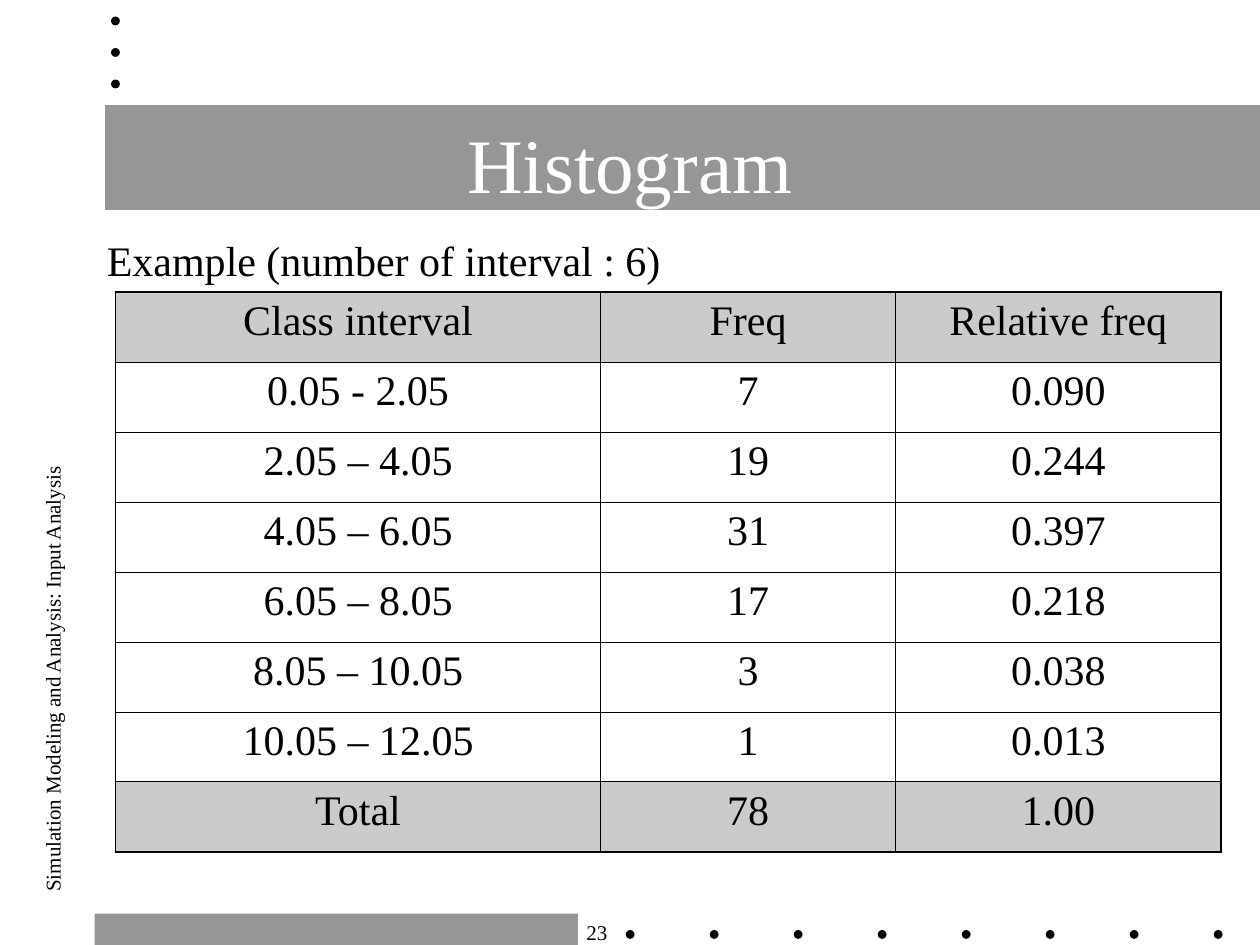
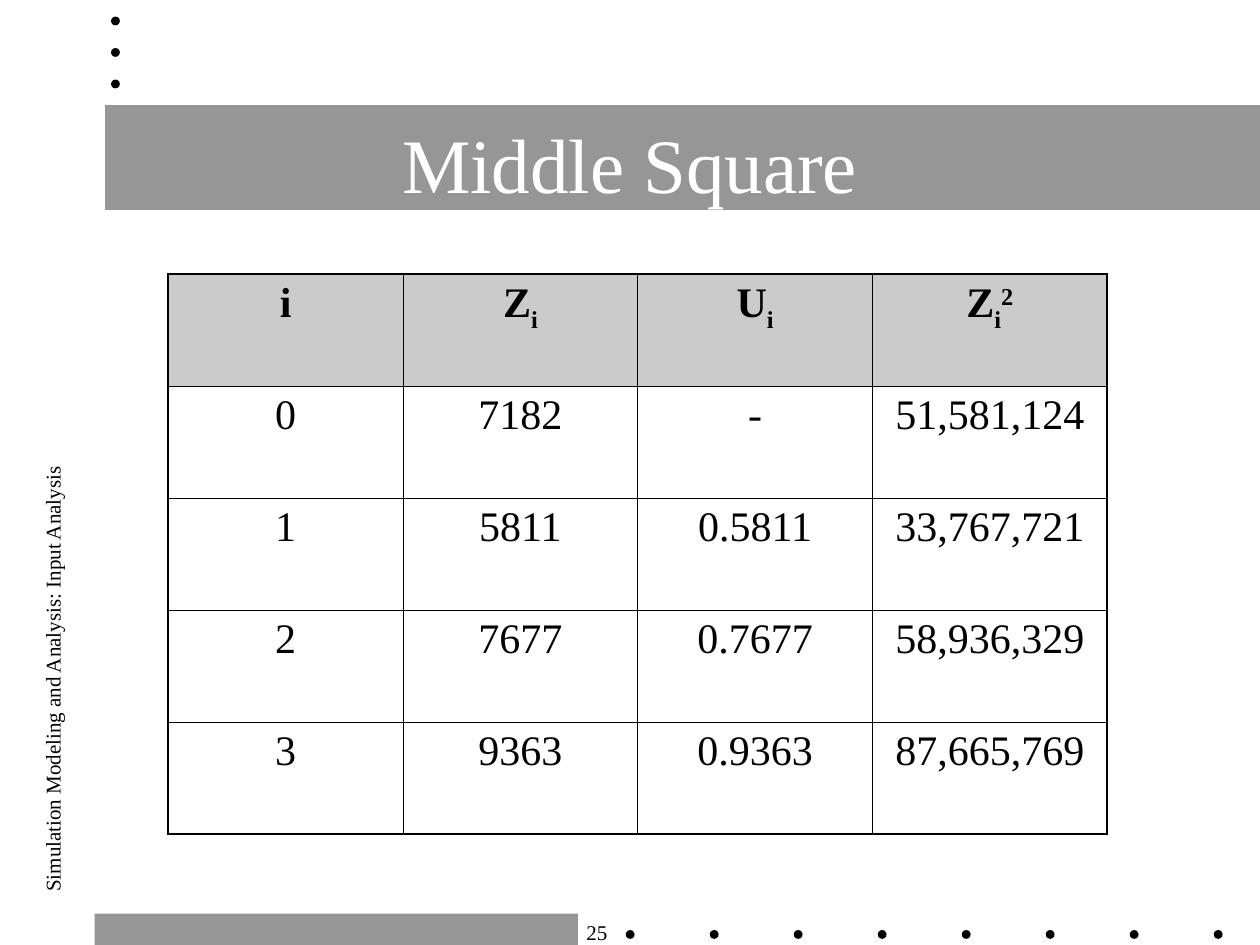
"""Build two lecture slides with data tables on a shared grey-band layout."""
import pptx
import pptx.dml.color
import pptx.enum.shapes
import pptx.enum.text
import pptx.oxml
import pptx.oxml.ns
import pptx.util

ALIGN = pptx.enum.text.PP_ALIGN
ANCHOR = pptx.enum.text.MSO_ANCHOR
SHAPE = pptx.enum.shapes.MSO_SHAPE
FONT = "Times New Roman"
BLACK, WHITE, BAND, SHADE = "000000", "FFFFFF", "969696", "CBCBCB"
UNITS_PER_INCH = 12
TABLE_ROWS = 53.34
OUTER_LINE, INNER_LINE = 1.08, 0.45
SUB, SUPER = -25000, 30000

INTERVALS = [
    ["Class interval", "Freq", "Relative freq"],
    ["0.05 - 2.05", "7", "0.090"],
    ["2.05 – 4.05", "19", "0.244"],
    ["4.05 – 6.05", "31", "0.397"],
    ["6.05 – 8.05", "17", "0.218"],
    ["8.05 – 10.05", "3", "0.038"],
    ["10.05 – 12.05", "1", "0.013"],
    ["Total", "78", "1.00"],
]
SQUARES = [
    ["i", [("Z", 0), ("i", SUB)], [("U", 0), ("i", SUB)],
     [("Z", 0), ("i", SUB), ("2", SUPER)]],
    ["0", "7182", "-", "51,581,124"],
    ["1", "5811", "0.5811", "33,767,721"],
    ["2", "7677", "0.7677", "58,936,329"],
    ["3", "9363", "0.9363", "87,665,769"],
]


def grid(units):
    """Convert grid units (120 columns by 90 rows) to a length."""
    return pptx.util.Inches(units / UNITS_PER_INCH)


def rgb(value):
    """Turn a hex string into a colour."""
    return pptx.dml.color.RGBColor.from_string(value)


class Deck:
    """Hold the presentation, its style and the current slide."""

    def __init__(self):
        """Start an empty presentation of 120 by 90 grid units."""
        self.show = pptx.Presentation()
        self.show.slide_width, self.show.slide_height = grid(120), grid(90)
        self.slide = None

    def start(self, title, number):
        """Add a slide with its bands, dots, page number, side text and title."""
        self.slide = self.show.slides.add_slide(self.show.slide_layouts[6])
        self.block(SHAPE.RECTANGLE, 9, 87, 46.03, 3, BAND)
        for step in range(8):
            self.dot(60.02 + 8 * step, 89)
        self.block(SHAPE.RECTANGLE, 10, 10, 110, 10, BAND)
        for step in range(3):
            self.dot(11, 2 + 3 * step)
        self.text(number, 50.03, 87, 9, 3.6, 12, align=ALIGN.RIGHT)
        course = self.text("Simulation Modeling and Analysis: Input Analysis",
                           -16.5, 62.95, 43, 3.6, 12, align=ALIGN.RIGHT, wrap=False)
        course.rotation = 270
        self.text(title, 9, 8, 102, 15, 44, WHITE, ALIGN.CENTER, ANCHOR.MIDDLE)

    def block(self, kind, left, top, width, height, fill):
        """Draw a plain filled shape."""
        block = self.slide.shapes.add_shape(kind, *map(grid, (left, top, width, height)))
        block.shadow.inherit = False
        block.fill.solid()
        block.fill.fore_color.rgb = rgb(fill)
        block.line.fill.background()

    def dot(self, x, y, size=0.84):
        """Draw a black dot centred on a grid point."""
        self.block(SHAPE.OVAL, x - size / 2, y - size / 2, size, size, BLACK)

    def style(self, paragraph, size, color=BLACK, align=ALIGN.LEFT, bold=False):
        """Format a paragraph and its runs."""
        paragraph.alignment = align
        for run in paragraph.runs:
            font = run.font
            font.name, font.size, font.bold = FONT, pptx.util.Pt(size), bold
            font.color.rgb = rgb(color)

    def text(self, words, left, top, width, height, size, color=BLACK,
             align=ALIGN.LEFT, anchor=ANCHOR.TOP, wrap=True):
        """Add a one-paragraph text box."""
        box = self.slide.shapes.add_textbox(*map(grid, (left, top, width, height)))
        frame = box.text_frame
        frame.word_wrap, frame.vertical_anchor = wrap, anchor
        frame.text = words
        self.style(frame.paragraphs[0], size, color, align)
        return box

    def border(self, cell, side, width):
        """Draw one side of a cell."""
        cell._tc.get_or_add_tcPr().append(pptx.oxml.parse_xml(
            f'<a:ln{side} {pptx.oxml.ns.nsdecls("a")} w="{pptx.util.Pt(width)}">'
            f'<a:solidFill><a:srgbClr val="{BLACK}"/></a:solidFill></a:ln{side}>'))

    def fill_cell(self, cell, content, shaded, bold):
        """Write and colour one cell; content is a string or (text, baseline) pairs."""
        paragraph = cell.text_frame.paragraphs[0]
        if isinstance(content, str):
            paragraph.text = content
        else:
            for letters, baseline in content:
                run = paragraph.add_run()
                run.text = letters
                run._r.get_or_add_rPr().set("baseline", str(baseline))
        self.style(paragraph, 24, align=ALIGN.CENTER, bold=bold)
        if shaded:
            cell.fill.solid()
            cell.fill.fore_color.rgb = rgb(SHADE)
        else:
            cell.fill.background()

    def table(self, data, left, top, widths, shaded_rows, bold_header=False):
        """Add a table with a heavier outline and shaded rows."""
        last_row, last_column = len(data) - 1, len(widths) - 1
        table = self.slide.shapes.add_table(
            len(data), len(widths),
            *map(grid, (left, top, sum(widths), TABLE_ROWS))).table
        table.first_row = table.horz_banding = False
        for column, width in zip(table.columns, widths):
            column.width = grid(width)
        for r, values in enumerate(data):
            table.rows[r].height = grid(TABLE_ROWS / len(data))
            for c, content in enumerate(values):
                cell = table.cell(r, c)
                outer = {"L": c == 0, "R": c == last_column, "T": r == 0, "B": r == last_row}
                for side, is_outer in outer.items():
                    self.border(cell, side, OUTER_LINE if is_outer else INNER_LINE)
                self.fill_cell(cell, content, r in shaded_rows, bold_header and r == 0)


def main():
    """Build both slides and save them."""
    deck = Deck()
    deck.start("Histogram", "23")
    deck.text("Example (number of interval : 6)", 9, 21.75, 102, 6.25, 24)
    deck.table(INTERVALS, 11, 27.8, [46.2, 28.1, 31], (0, len(INTERVALS) - 1))
    deck.start("Middle Square", "25")
    deck.table(SQUARES, 16.03, 26.1, [22.36] * 4, (0,), bold_header=True)
    deck.show.save("out.pptx")


if __name__ == "__main__":
    main()
